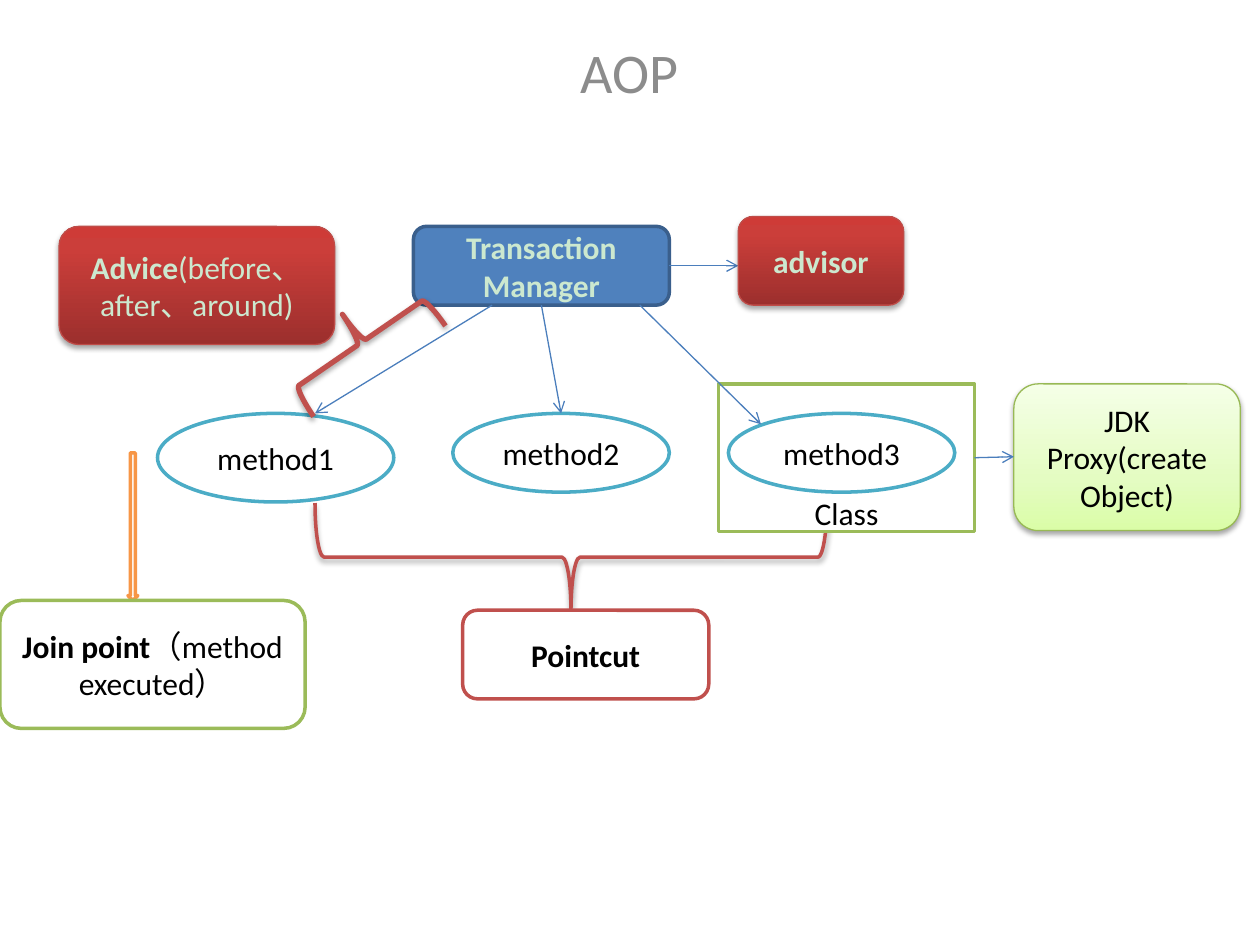
from copy import deepcopy

from lxml import etree
from pptx import Presentation
from pptx.dml.color import RGBColor
from pptx.enum.shapes import MSO_CONNECTOR, MSO_SHAPE
from pptx.enum.text import MSO_ANCHOR, PP_ALIGN
from pptx.oxml.ns import qn
from pptx.util import Inches, Pt

ROUNDED, OVAL, BOX = MSO_SHAPE.ROUNDED_RECTANGLE, MSO_SHAPE.OVAL, MSO_SHAPE.RECTANGLE
LEFT_BRACE, RIGHT_BRACE = MSO_SHAPE.LEFT_BRACE, MSO_SHAPE.RIGHT_BRACE
DOWN_ARROW = MSO_SHAPE.DOWN_ARROW
STRAIGHT = MSO_CONNECTOR.STRAIGHT
CENTER, TOP, MIDDLE, BOTTOM = PP_ALIGN.CENTER, MSO_ANCHOR.TOP, MSO_ANCHOR.MIDDLE, MSO_ANCHOR.BOTTOM

WHITE = RGBColor(0xFF, 0xFF, 0xFF)
BLACK = RGBColor(0x00, 0x00, 0x00)
GRAY = RGBColor(0x8C, 0x8C, 0x8C)
MINT = RGBColor(0xCC, 0xE8, 0xCF)
BLUE = RGBColor(0x4F, 0x81, 0xBD)
DARK_BLUE = RGBColor(0x3A, 0x5F, 0x8C)
LINK_BLUE = RGBColor(0x4B, 0x7E, 0xBC)
TEAL = RGBColor(0x4B, 0xAC, 0xC6)
ORANGE = RGBColor(0xF7, 0x96, 0x46)
RED = RGBColor(0xC0, 0x50, 0x4D)
RED_EDGE = RGBColor(0xBF, 0x4C, 0x48)
GREEN = RGBColor(0x9B, 0xBB, 0x59)
GREEN_EDGE = RGBColor(0x98, 0xB9, 0x55)
RED_GRADIENT = [(0, RGBColor(0x9C, 0x2F, 0x2D)), (0.8, RGBColor(0xCB, 0x3E, 0x3A)),
                (1, RGBColor(0xCE, 0x3B, 0x37))]
GREEN_GRADIENT = [(0, RGBColor(0xDA, 0xFD, 0xA7)), (0.35, RGBColor(0xE4, 0xFC, 0xC2)),
                  (1, RGBColor(0xF5, 0xFF, 0xE7))]

WIDTH, HEIGHT = Inches(10), Inches(7.5)
COLUMNS, ROWS = 128, 96


def grid(column, row):
    return round(column * WIDTH / COLUMNS), round(row * HEIGHT / ROWS)


def write(frame, *runs, size=18, color=BLACK, anchor=MIDDLE):
    """Fill a text frame with one centred paragraph of (text, bold) runs."""
    frame.word_wrap = True
    frame.vertical_anchor = anchor
    paragraph = frame.paragraphs[0]
    paragraph.alignment = CENTER
    for text, bold in runs:
        run = paragraph.add_run()
        run.text = text
        run.font.name, run.font.size, run.font.bold = "Calibri", Pt(size), bold
        run.font.color.rgb = color


class Diagram:
    """Draws on one slide; places and sizes are columns and rows of the grid."""

    def __init__(self, slide, background):
        self.slide = slide
        self.shapes = slide.shapes
        slide.background.fill.solid()
        slide.background.fill.fore_color.rgb = background

    def title(self, text, place, size):
        box = self.shapes.add_textbox(*grid(*place), *grid(*size))
        write(box.text_frame, (text, False), size=32, color=GRAY, anchor=TOP)

    def shape(self, kind, place, size, edge, edge_width=2, fill=WHITE):
        shape = self.shapes.add_shape(kind, *grid(*place), *grid(*size))
        shape.shadow.inherit = False
        if fill is None:
            shape.fill.background()
        else:
            shape.fill.solid()
            shape.fill.fore_color.rgb = fill
        shape.line.color.rgb = edge
        shape.line.width = Pt(edge_width)
        return shape

    def node(self, kind, place, size, edge, *runs, color=BLACK, fill=WHITE, anchor=MIDDLE):
        shape = self.shape(kind, place, size, edge, fill=fill)
        write(shape.text_frame, *runs, color=color, anchor=anchor)
        return shape

    def raised_node(self, place, size, edge, gradient, *runs, color=BLACK):
        node = self.node(ROUNDED, place, size, edge, *runs, color=color)
        node.line.width = Pt(0.75)
        self.shade(node, gradient)
        self.cast_shadow(node)

    def brace(self, kind, place, size, rotation, edge_width):
        brace = self.shape(kind, place, size, RED, edge_width, fill=None)
        brace.rotation = rotation
        self.cast_shadow(brace)
        return brace

    def arrow(self, start, end):
        link = self.shapes.add_connector(STRAIGHT, *grid(*start), *grid(*end))
        link.line.color.rgb = LINK_BLUE
        link.line.width = Pt(0.75)
        properties = link._element.spPr
        etree.SubElement(properties.find(qn("a:ln")), qn("a:tailEnd"), type="arrow")
        etree.SubElement(properties, qn("a:effectLst"))

    @staticmethod
    def shade(shape, gradient):
        """Apply gradient stops that run from the bottom edge to the top."""
        shape.fill.gradient()
        shape.fill.gradient_angle = 90
        stop_list = next(shape._element.spPr.iter(qn("a:gsLst")))
        stop_list.append(deepcopy(stop_list[-1]))
        for stop, (position, color) in zip(shape.fill.gradient_stops, gradient):
            stop.position = position
            stop.color.rgb = color

    @staticmethod
    def cast_shadow(shape):
        effects = shape._element.spPr.find(qn("a:effectLst"))
        shadow = etree.SubElement(effects, qn("a:outerShdw"), blurRad=str(Pt(3.1)),
                                  dist=str(Pt(1.8)), dir="5400000", rotWithShape="0")
        tint = etree.SubElement(shadow, qn("a:srgbClr"), val="000000")
        etree.SubElement(tint, qn("a:alpha"), val="35000")


def main():
    deck = Presentation()
    deck.slide_width, deck.slide_height = WIDTH, HEIGHT
    diagram = Diagram(deck.slides.add_slide(deck.slide_layouts[6]), WHITE)

    diagram.title("AOP", (0, 3.2), (128, 76))
    diagram.node(ROUNDED, (42, 23), (26, 8), DARK_BLUE, ("Transaction Manager", True),
                 color=MINT, fill=BLUE)
    diagram.node(OVAL, (16, 42), (24, 9), TEAL, ("method1", False))
    diagram.node(OVAL, (46, 42), (22, 8), TEAL, ("method2", False))
    for start, end in [((50, 31), (32, 42)), ((55, 31), (57, 42)), ((68, 27), (75, 27))]:
        diagram.arrow(start, end)

    advice_brace = diagram.brace(LEFT_BRACE, (33.15, 26.75), (6.9, 16.25), 55.5, 3)
    advice_brace.adjustments[0], advice_brace.adjustments[1] = 0.08, 0.49
    diagram.raised_node((75, 22), (16.8, 9), RED_EDGE, RED_GRADIENT,
                        ("advisor", True), color=MINT)
    diagram.shape(DOWN_ARROW, (13, 46), (1, 15), ORANGE)
    diagram.raised_node((6, 23), (28, 12), RED_EDGE, RED_GRADIENT,
                        ("Advice", True), ("(before、after、around)", False), color=MINT)
    diagram.node(ROUNDED, (0, 61), (31, 13), GREEN,
                 ("Join point", True), ("（method executed）", False))
    diagram.brace(RIGHT_BRACE, (52.5, 30.6), (11, 52), 90, 2)
    diagram.node(ROUNDED, (47, 62), (25, 9), RED, ("Pointcut", True))

    target_class = diagram.node(BOX, (73, 39), (26, 15), GREEN, ("Class", False), anchor=BOTTOM)
    target_class.text_frame.margin_bottom = 0
    diagram.node(OVAL, (74, 42), (23, 8), TEAL, ("method3", False))
    diagram.arrow((65, 31), (77.3, 43.1))
    diagram.raised_node((103, 39), (23, 14.9), GREEN_EDGE, GREEN_GRADIENT,
                        ("JDK Proxy(create Object)", False))
    diagram.arrow((99, 46.5), (103, 46.4))

    deck.save("out.pptx")


if __name__ == "__main__":
    main()
